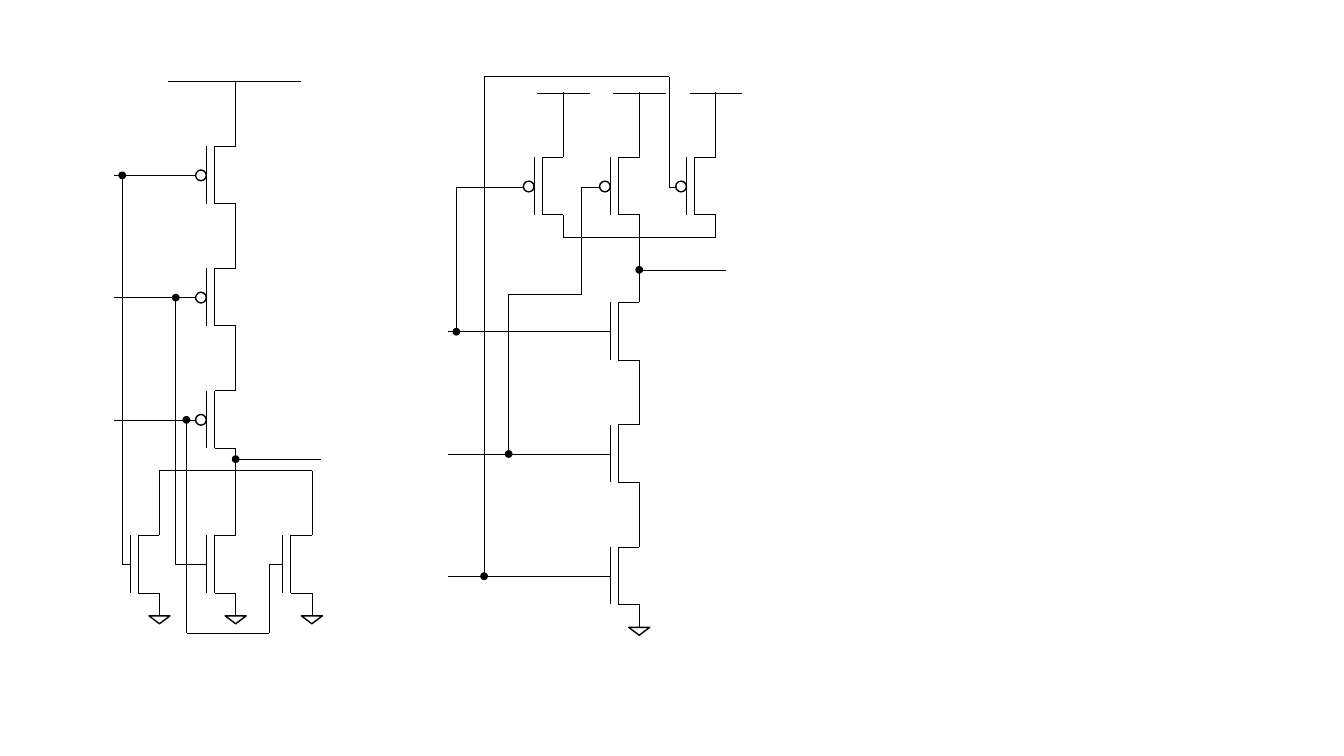
"""Draw the transistor schematics of a three-input NOR gate and a three-input NAND gate."""
from dataclasses import dataclass
from itertools import pairwise

from lxml import etree
from pptx import Presentation
from pptx import util as u
from pptx.dml.color import RGBColor
from pptx.enum import shapes as kinds
from pptx.oxml.ns import qn
from pptx.slide import Slide

Point = tuple[float, float]


@dataclass(frozen=True)
class Theme:
    """Ink, line weights in points and symbol sizes in centimetres."""
    ink: RGBColor = RGBColor(0, 0, 0)
    wire: float = 0.5
    outline: float = 1
    dot: float = 0.16
    bubble: float = 0.27
    ground: Point = (0.53, 0.2)
    lead: float = 1.63
    channel: float = 1.45
    channel_offset: float = 0.53
    gate_offset: float = 0.74
    gate_height: float = 0.74
    tail: float = 0.58


@dataclass(frozen=True)
class Transistor:
    """A transistor whose terminals lie at x, with its channel starting at top."""
    x: float
    top: float
    p_type: bool = False
    tail: bool = False
    grounded: bool = False


@dataclass(frozen=True)
class Gate:
    """One logic gate: its transistors, plain wires, and nets that start at a dot."""
    transistors: list[Transistor]
    wires: list[list[Point]]
    nets: list[list[Point]]


THEME = Theme()
STACK_STEP = 3.08
ROW_STEP = 1.92


def steps(start: float, step: float) -> list[float]:
    """Return three evenly spaced positions."""
    return [start + step * index for index in range(3)]


def draw_wire(slide: Slide, points: list[Point]) -> None:
    """Join consecutive points with straight lines."""
    for (x1, y1), (x2, y2) in pairwise(points):
        segment = slide.shapes.add_connector(
            kinds.MSO_CONNECTOR.STRAIGHT, u.Cm(x1), u.Cm(y1), u.Cm(x2), u.Cm(y2))
        segment.line.color.rgb = THEME.ink
        segment.line.width = u.Pt(THEME.wire)
        etree.SubElement(segment.element.spPr, qn("a:effectLst"))


def draw_symbol(slide: Slide, kind: kinds.MSO_SHAPE, center: Point, size: Point,
                filled: bool = False, flipped: bool = False) -> None:
    """Draw an outlined or solid symbol around its center."""
    width, height = size
    symbol = slide.shapes.add_shape(
        kind, u.Cm(center[0] - width / 2), u.Cm(center[1] - height / 2),
        u.Cm(width), u.Cm(height))
    symbol.shadow.inherit = False
    symbol.line.color.rgb = THEME.ink
    symbol.line.width = u.Pt(THEME.outline)
    if filled:
        symbol.fill.solid()
        symbol.fill.fore_color.rgb = THEME.ink
    else:
        symbol.fill.background()
    if flipped:
        symbol.element.spPr.xfrm.set("flipV", "1")


def draw_transistor(slide: Slide, part: Transistor) -> None:
    """Draw the lead, channel, gate plate and end symbols of a transistor."""
    bottom = part.top + THEME.channel
    channel = part.x - THEME.channel_offset
    plate = part.x - THEME.gate_offset
    draw_wire(slide, [(part.x, part.top - THEME.lead), (part.x, part.top),
                      (channel, part.top), (channel, bottom), (part.x, bottom)])
    draw_wire(slide, [(plate, part.top), (plate, bottom)])
    if part.p_type:
        center = (plate - THEME.bubble / 2, part.top + THEME.gate_height)
        draw_symbol(slide, kinds.MSO_SHAPE.OVAL, center, (THEME.bubble, THEME.bubble))
    if part.tail:
        end = bottom + THEME.tail
        draw_wire(slide, [(part.x, bottom), (part.x, end)])
        if part.grounded:
            draw_symbol(slide, kinds.MSO_SHAPE.ISOSCELES_TRIANGLE,
                        (part.x, end + THEME.ground[1] / 2), THEME.ground, flipped=True)


def draw_gate(slide: Slide, gate: Gate) -> None:
    """Draw a whole logic gate."""
    for transistor in gate.transistors:
        draw_transistor(slide, transistor)
    for wire in gate.wires:
        draw_wire(slide, wire)
    for net in gate.nets:
        draw_wire(slide, net)
        draw_symbol(slide, kinds.MSO_SHAPE.OVAL, net[0], (THEME.dot, THEME.dot), filled=True)


def nor_gate() -> Gate:
    """Describe the NOR gate: stacked p-type above parallel n-type transistors."""
    x, tops, row = 5.94, steps(3.68, STACK_STEP), steps(4.02, ROW_STEP)
    a, b, c = [top + THEME.gate_height for top in tops]
    gate_y = 14.23
    return Gate(
        [Transistor(x, top, p_type=True, tail=top == tops[-1]) for top in tops]
        + [Transistor(column, 13.49, tail=True, grounded=True) for column in row],
        [[(4.24, 2.06), (7.59, 2.06)], [(row[0], 11.86), (row[-1], 11.86)]]
        + [[(2.88, y), (4.93, y)] for y in (a, b, c)],
        [[(3.08, a), (3.08, gate_y), (3.28, gate_y)],
         [(4.43, b), (4.43, gate_y), (5.2, gate_y)],
         [(4.7, c), (4.7, 15.95), (6.78, 15.95), (6.78, gate_y), (7.12, gate_y)],
         [(x, 11.57), (8.1, 11.57)]])


def nand_gate() -> Gate:
    """Describe the NAND gate: parallel p-type above stacked n-type transistors."""
    x, tops, row = 16.11, steps(7.62, STACK_STEP), steps(14.2, ROW_STEP)
    a, b, c = [top + THEME.gate_height for top in tops]
    gate_y = 4.71
    return Gate(
        [Transistor(column, 3.96, p_type=True, tail=True) for column in row]
        + [Transistor(x, top, tail=top == tops[-1], grounded=True) for top in tops],
        [[(column - 0.66, 2.34), (column + 0.66, 2.34)] for column in row]
        + [[(row[0], 5.99), (row[-1], 5.99)]]
        + [[(11.29, y), (13.32, y), (15.37, y)] for y in (a, b, c)],
        [[(11.5, a), (11.5, gate_y), (13.18, gate_y)],
         [(12.82, b), (12.82, 7.42), (14.66, 7.42), (14.66, gate_y), (15.11, gate_y)],
         [(12.2, c), (12.2, 1.93), (16.87, 1.93), (16.87, gate_y), (17.03, gate_y)],
         [(x, 6.8), (18.29, 6.8)]])


def main() -> None:
    """Build the slide and save it."""
    deck = Presentation()
    deck.slide_width, deck.slide_height = u.Cm(33.87), u.Cm(19.05)
    slide = deck.slides.add_slide(deck.slide_layouts[6])
    for gate in (nor_gate(), nand_gate()):
        draw_gate(slide, gate)
    deck.save("out.pptx")


if __name__ == "__main__":
    main()
